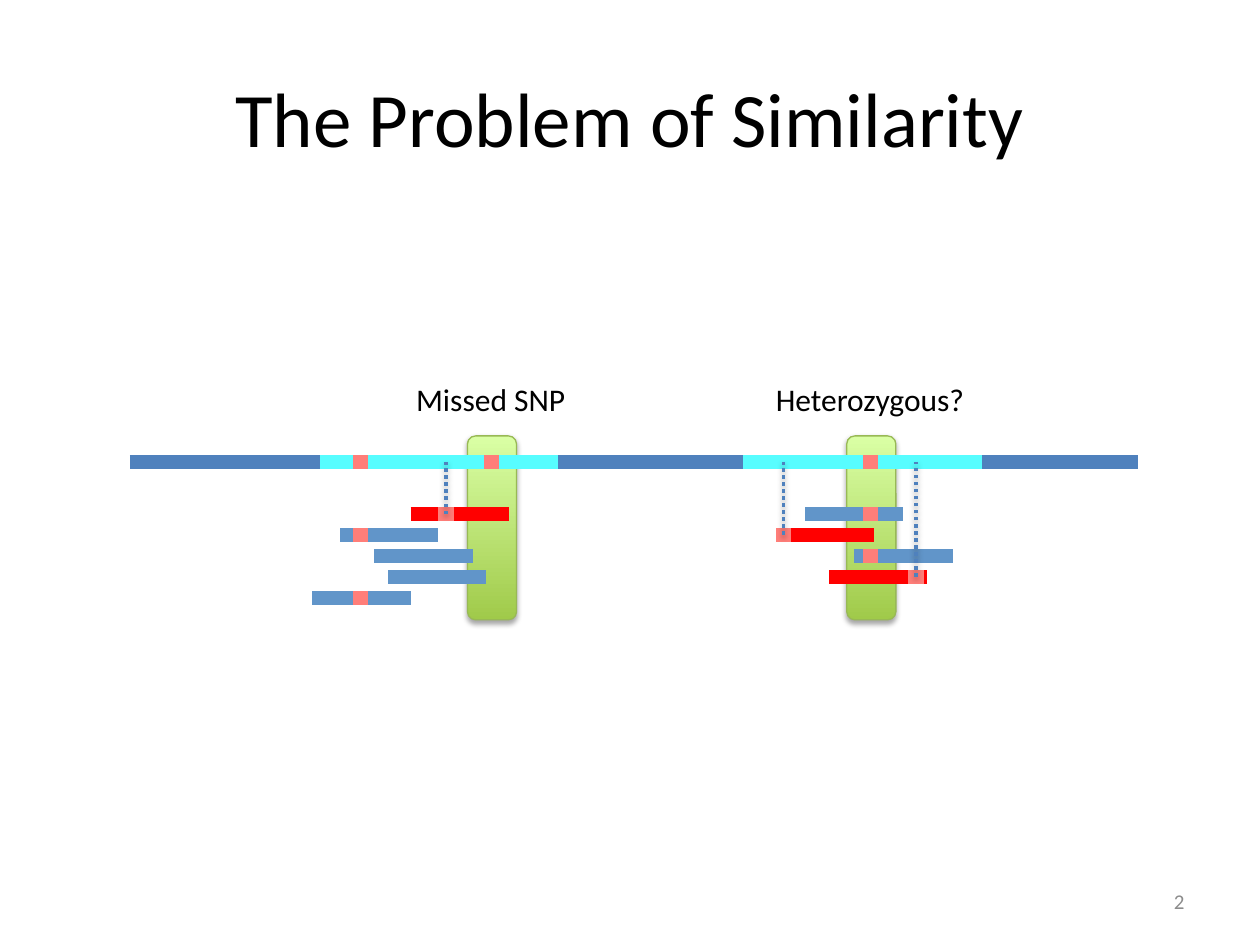
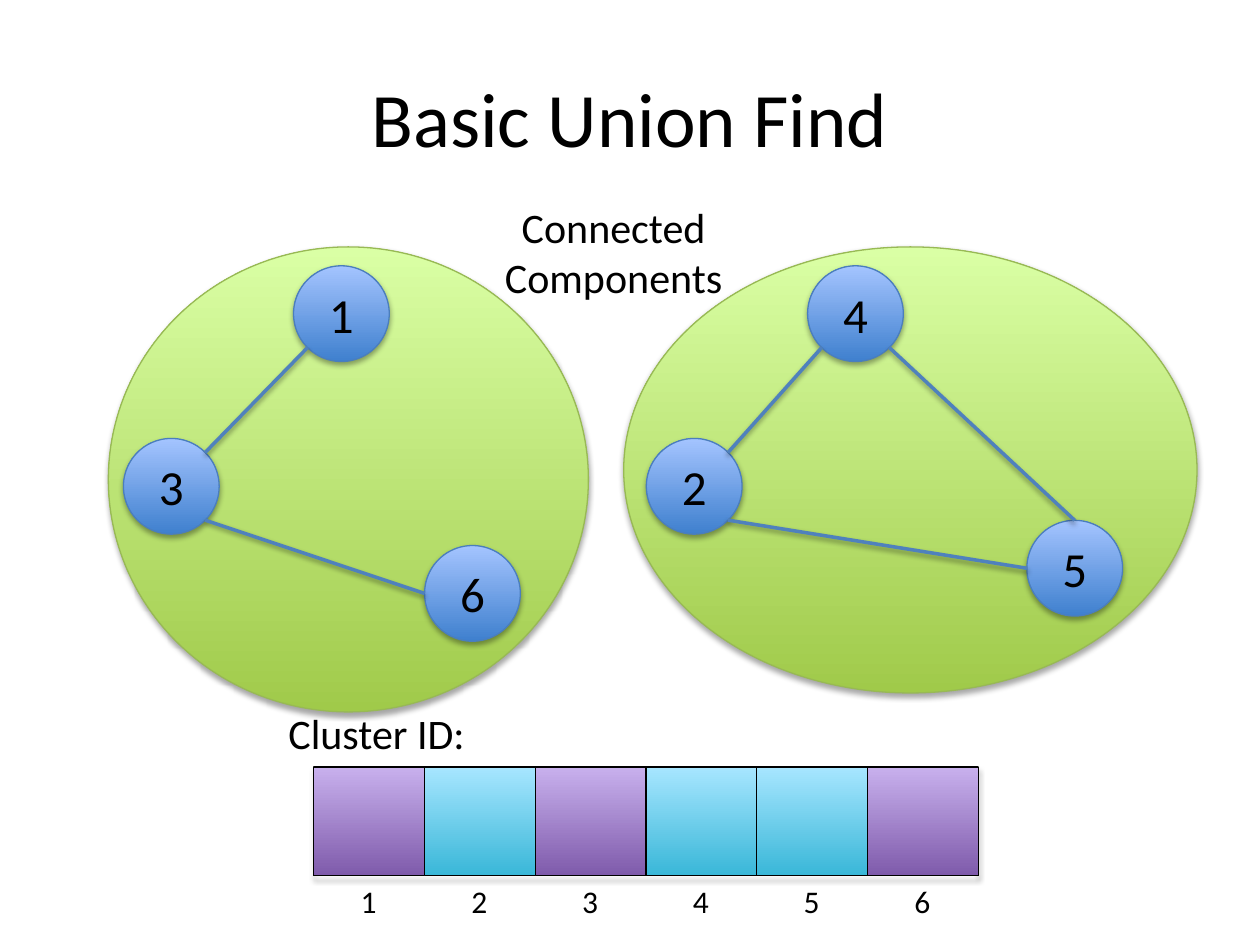
"""Build two slides on similarity in sequence reads and on union find."""
from math import cos, radians, sin

from lxml import etree
from pptx import Presentation
from pptx.dml.color import RGBColor
from pptx.enum.dml import MSO_LINE
from pptx.enum.shapes import MSO_CONNECTOR, MSO_SHAPE
from pptx.enum.text import MSO_ANCHOR, PP_ALIGN
from pptx.oxml.ns import qn
from pptx.util import Inches, Pt

COLORS = {
    "text": "000000", "number": "8C8C8C", "genome": "4F81BD", "repeat": "57FDFF",
    "variant": "FF7E79", "read": "6195C9", "misplaced": "FF0000",
    "green edge": "98B955", "blue edge": "4B7EBC",
}
SHADES = {
    "green": ("A0CA4A", "DAFFA5"), "blue": ("3F80CE", "A4C4FF"),
    "purple": ("7F5BAB", "C8B0ED"), "cyan": ("39B7D8", "A7E6FF"),
}
FONT = "Calibri"

prs = Presentation()
prs.slide_width, prs.slide_height = Inches(10), Inches(7.5)
unit = prs.slide_width / 100


def style(shape, edge, width, shades=None, alpha=0, dist=0):
    """Set line, gradient and shadow; without alpha there is no shadow."""
    if shades:
        shape.fill.gradient()
        shape.fill.gradient_angle = 90
        for stop, shade in zip(shape.fill.gradient_stops, SHADES[shades]):
            stop.color.rgb = RGBColor.from_string(shade)
    shape.line.color.rgb = RGBColor.from_string(COLORS[edge])
    shape.line.width = Pt(width)
    effects = etree.SubElement(shape._element.spPr, qn("a:effectLst"))
    if alpha:
        shadow = etree.SubElement(
            effects, qn("a:outerShdw"), blurRad=str(Pt(3.1)), dist=str(Pt(dist)),
            dir="5400000", rotWithShape="0")
        black = etree.SubElement(shadow, qn("a:srgbClr"), val="000000")
        etree.SubElement(black, qn("a:alpha"), val=str(alpha * 1000))
    return shape


def label(s, box, text, size, align=PP_ALIGN.CENTER, color="text"):
    """Add a wrapped text box; box is in shares of the slide width."""
    tf = s.shapes.add_textbox(*(int(v * unit) for v in box)).text_frame
    tf.word_wrap = True
    p = tf.paragraphs[0]
    p.text, p.alignment = text, align
    p.font.size, p.font.name = Pt(size), FONT
    p.font.color.rgb = RGBColor.from_string(COLORS[color])
    return tf


slides = []
for title in ("The Problem of Similarity", "Basic Union Find"):
    s = prs.slides.add_slide(prs.slide_layouts[5])
    sp = s.shapes.title
    sp.left, sp.top, sp.width, sp.height = (int(v * unit) for v in (5, 3, 90, 12.5))
    sp.text_frame.text = title
    sp.text_frame.vertical_anchor = MSO_ANCHOR.MIDDLE
    p = sp.text_frame.paragraphs[0]
    p.alignment = PP_ALIGN.CENTER
    p.font.size, p.font.name = Pt(44), FONT
    p.font.color.rgb = RGBColor.from_string(COLORS["text"])
    slides.append(s)

s = slides[0]
for left in (37.1, 67.2):
    box = (int(v * unit) for v in (left, 34.6, 3.9, 14.6))
    style(s.shapes.add_shape(MSO_SHAPE.ROUNDED_RECTANGLE, *box),
          "green edge", 0.75, "green", 35, 1.8)

genome_y, first_read, read_gap = 36.7, 40.8, 1.66
read_width, mark_width = 7.8, 1.2
bars = [(10.3, 80, genome_y, "genome")]
bars += [(x, 18.9, genome_y, "repeat") for x in (25.4, 59)]
bars += [(x, mark_width, genome_y, "variant") for x in (28, 38.4, 68.5)]
links = []
reads = (
    (0, 32.6, "misplaced", 34.8), (1, 27, "read", 28), (2, 29.7, "read", None),
    (3, 30.8, "read", None), (4, 24.8, "read", 28),
    (0, 63.9, "read", 68.5), (1, 61.6, "misplaced", 61.6),
    (2, 67.8, "read", 68.5), (3, 65.8, "misplaced", 72.1),
)
for row, left, color, mark in reads:
    y = first_read + row * read_gap
    bars.append((left, read_width, y, color))
    if mark:
        bars.append((mark, mark_width, y, "variant"))
    if color == "misplaced":
        links.append((mark + mark_width / 2, y))
for left, width, y, color in bars:
    ends = (int(v * unit) for v in (left, y, left + width, y))
    style(s.shapes.add_connector(MSO_CONNECTOR.STRAIGHT, *ends), color, 8)
for x, y in links:
    ends = (int(v * unit) for v in (x, y, x, genome_y))
    link = style(s.shapes.add_connector(MSO_CONNECTOR.STRAIGHT, *ends),
                 "genome", 2, alpha=38, dist=1.6)
    link.line.dash_style = MSO_LINE.ROUND_DOT

for left, text in ((26.3, "Missed SNP"), (56.4, "Heterozygous?")):
    label(s, (left, 29.7, 25.3, 4), text, 18)
tf = label(s, (71.7, 69.5, 23.3, 4), "2", 12, PP_ALIGN.RIGHT, "number")
tf.vertical_anchor = MSO_ANCHOR.MIDDLE

s = slides[1]
for box in ((49.5, 19.6, 45.5, 35.4), (8.6, 19.6, 38.1, 36.9)):
    style(s.shapes.add_shape(MSO_SHAPE.OVAL, *(int(v * unit) for v in box)),
          "green edge", 0.75, "green", 35, 1.8)

radius = 3.8
centers = {1: (27.1, 24.9), 2: (55.1, 38.6), 3: (13.6, 38.6),
           4: (67.9, 24.9), 5: (85.3, 45.1), 6: (37.5, 47.1)}
for name, (x, y) in centers.items():
    box = (int(v * unit) for v in (x - radius, y - radius, 2 * radius, 2 * radius))
    sp = style(s.shapes.add_shape(MSO_SHAPE.OVAL, *box), "blue edge", 0.75, "blue", 35, 1.8)
    tf = sp.text_frame
    tf.margin_left = tf.margin_right = tf.margin_top = tf.margin_bottom = 0
    tf.vertical_anchor = MSO_ANCHOR.MIDDLE
    p = tf.paragraphs[0]
    p.text, p.alignment = str(name), PP_ALIGN.CENTER
    p.font.size, p.font.name = Pt(28), FONT
    p.font.color.rgb = RGBColor.from_string(COLORS["text"])

edges = (((1, 135), (3, -45)), ((3, 45), (6, 180)), ((4, 135), (2, -45)),
         ((4, 45), (5, -90)), ((2, 45), (5, 180)))
for edge in edges:
    ends = []
    for name, angle in edge:
        x, y = centers[name]
        ends += [int((x + radius * cos(radians(angle))) * unit),
                 int((y + radius * sin(radians(angle))) * unit)]
    style(s.shapes.add_connector(MSO_CONNECTOR.STRAIGHT, *ends),
          "genome", 2, alpha=38, dist=1.6)

clusters = ("purple", "cyan", "purple", "cyan", "cyan", "purple")
cell_left, cell_top, cell_width, cell_height = 24.9, 60.9, 8.79, 8.6
box = (cell_left, cell_top, cell_width * len(clusters), cell_height)
frame = s.shapes.add_shape(MSO_SHAPE.RECTANGLE, *(int(v * unit) for v in box))
frame.fill.background()
style(frame, "text", 1, alpha=35, dist=1.8)
for i, shades in enumerate(clusters):
    box = (cell_left + i * cell_width, cell_top, cell_width, cell_height)
    style(s.shapes.add_shape(MSO_SHAPE.RECTANGLE, *(int(v * unit) for v in box)),
          "text", 0.75, shades)
    label(s, (26.9 + i * cell_width, 69.5, 4.7, 4.1), str(i + 1), 18)
label(s, (21.9, 55.7, 18.8, 5), "Cluster ID:", 24, PP_ALIGN.LEFT)
label(s, (35.5, 15.5, 26.4, 9.1), "Connected Components", 24)

prs.save("out.pptx")
